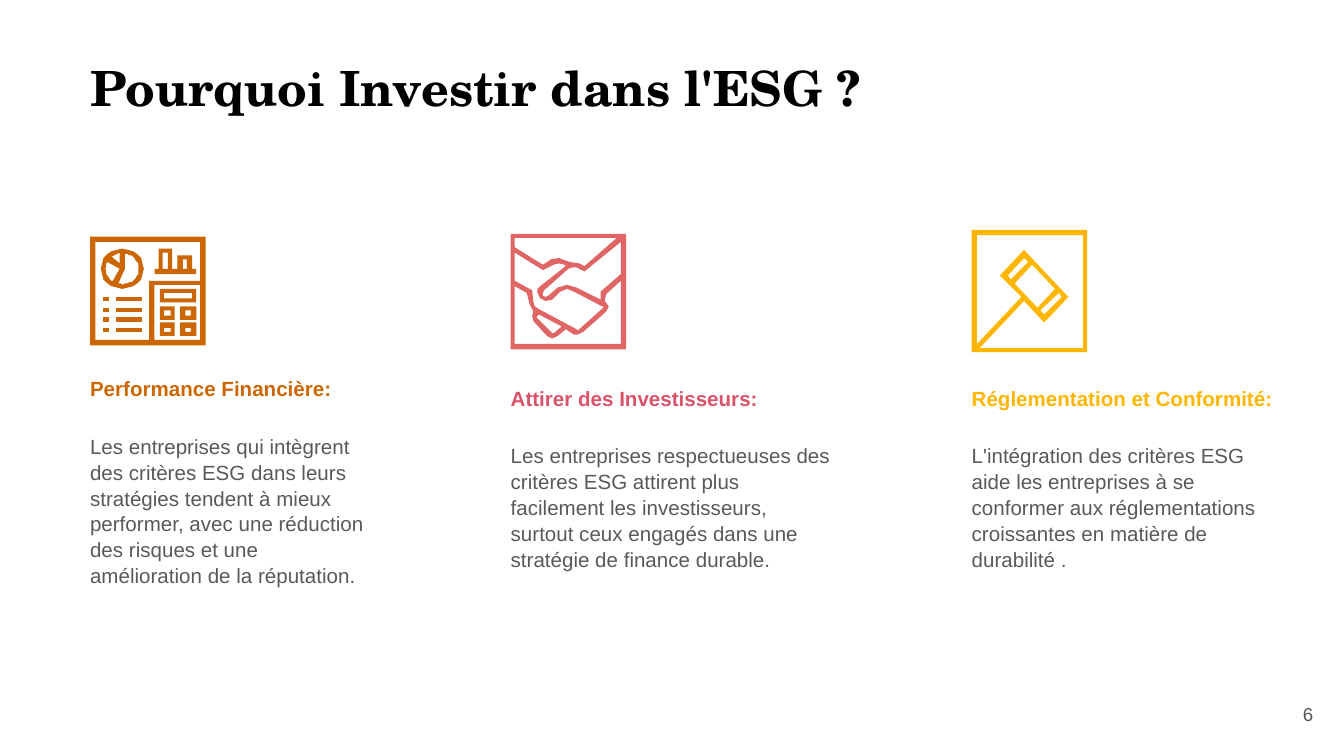
from math import cos, radians, sin

from lxml.etree import SubElement
from pptx import Presentation
from pptx.dml.color import RGBColor
from pptx.enum.text import MSO_ANCHOR, MSO_AUTO_SIZE, PP_ALIGN
from pptx.oxml.ns import qn
from pptx.util import Pt

BLACK = RGBColor(0x00, 0x00, 0x00)
GREY = RGBColor(0x59, 0x59, 0x59)
ORANGE = RGBColor(0xCC, 0x66, 0x00)
ROSE = RGBColor(0xDB, 0x53, 0x6A)
CORAL = RGBColor(0xE0, 0x66, 0x66)
YELLOW = RGBColor(0xFF, 0xB6, 0x00)

ICON_UNIT = Pt(0.72)  # icon outlines are drawn on a grid of 0.72 pt


def draw_outline(shapes, contours, color):
    """Draw one filled outline; inner contours become holes."""
    builder = shapes.build_freeform(*contours[0][0], scale=ICON_UNIT)
    builder.add_line_segments(contours[0][1:])
    for contour in contours[1:]:
        builder.move_to(*contour[0])
        builder.add_line_segments(contour[1:])
    outline = builder.convert_to_shape()
    outline.shadow.inherit = False
    outline.fill.solid()
    outline.fill.fore_color.rgb = color
    outline.line.fill.background()


def pie_arc(start, end, rx, ry):
    """Points along the pie symbol's rim, angles in degrees."""
    angles = [radians(start + (end - start) * i / 24) for i in range(25)]
    return [(round(91 + rx * cos(a), 2), round(200 + ry * sin(a), 2)) for a in angles]


prs = Presentation()
prs.slide_width, prs.slide_height = Pt(720), Pt(405)
slide = prs.slides.add_slide(prs.slide_layouts.get_by_name("Comparison"))
heading, *bodies, spare = slide.placeholders
spare.element.getparent().remove(spare.element)

# Title
heading.left, heading.top, heading.width, heading.height = Pt(48.24), Pt(26.64), Pt(667.44), Pt(51.84)
heading.text_frame.text = "Pourquoi Investir dans l'ESG ?"
title_line = heading.text_frame.paragraphs[0]
title_line.alignment = PP_ALIGN.LEFT
title_line.line_spacing = 1.15
title_line.font.name = "TeX Gyre Schola"
title_line.font.size = Pt(26)
title_line.font.bold = True
title_line.font.color.rgb = BLACK

# Three reasons: left, top, width, colour, heading, explanation
reasons = [
    (48.24, 200.88, 151.2, ORANGE, "Performance Financière:",
     "Les entreprises qui intègrent des critères ESG dans leurs stratégies tendent à mieux "
     "performer, avec une réduction des risques et une amélioration de la réputation."),
    (273.6, 205.92, 172.8, ROSE, "Attirer des Investisseurs:",
     "Les entreprises respectueuses des critères ESG attirent plus facilement les "
     "investisseurs, surtout ceux engagés dans une stratégie de finance durable."),
    (520.56, 205.92, 167.76, YELLOW, "Réglementation et Conformité:",
     "L'intégration des critères ESG aide les entreprises à se conformer aux "
     "réglementations croissantes en matière de durabilité ."),
]
for body, (left, top, width, color, reason, explanation) in zip(bodies, reasons):
    body.left, body.top, body.width, body.height = Pt(left), Pt(top), Pt(width), Pt(161.5)
    body.text_frame.text = f"{reason}\n{explanation}"
    for paragraph, ink, bold, gap in zip(
        body.text_frame.paragraphs, (color, GREY), (True, False), (0, 17)
    ):
        properties = paragraph._p.get_or_add_pPr()
        properties.set("marL", "0")
        properties.set("indent", "0")
        SubElement(properties, qn("a:buNone"))
        paragraph.alignment = PP_ALIGN.LEFT
        paragraph.line_spacing = 1.05
        paragraph.space_before = Pt(gap)
        paragraph.font.name = "Arial"
        paragraph.font.size = Pt(11)
        paragraph.font.bold = bold
        paragraph.font.color.rgb = ink

for holder in (heading, *bodies):
    frame = holder.text_frame
    frame.margin_left = frame.margin_right = frame.margin_top = frame.margin_bottom = 0
    frame.vertical_anchor = MSO_ANCHOR.TOP
    frame.auto_size = MSO_AUTO_SIZE.NONE
    frame.word_wrap = True

# Financial report icon: page, bar chart, pie, calculator and list
report = slide.shapes.add_group_shape().shapes
draw_outline(report, [
    [(67, 176), (67, 257), (153, 257), (153, 176)],
    [(115, 253), (115, 212), (149, 212), (149, 253)],
    [(111, 209), (111, 253), (71, 253), (71, 180), (149, 180), (149, 209)],
], ORANGE)
draw_outline(report, [
    [(143, 200), (143, 190), (132, 190), (132, 200), (128, 200), (128, 185), (118, 185),
     (118, 200), (115, 200), (115, 204), (146, 204), (146, 200)],
    [(125, 200), (121, 200), (121, 188), (125, 188)],
    [(139, 200), (136, 200), (136, 193), (139, 193)],
], ORANGE)
draw_outline(report, [
    pie_arc(0, 360, 16, 15),
    [(89, 188), (89, 196), (83, 191)],
    [(89, 200), *pie_arc(125, 208, 12.5, 11.5)],
    [(93, 200), *pie_arc(-80, 104, 12.5, 11.5)],
], ORANGE)
keys = [(119, 215, 27)] + [(x, y, 11) for y in (228, 240.5) for x in (119, 134.5)]
for x, y, width in keys:
    draw_outline(report, [
        [(x + d, y + d), (x + width - d, y + d), (x + width - d, y + 10 - d), (x + d, y + 10 - d)]
        for d in (0, 3.3)
    ], ORANGE)
for row in range(4):
    y = 221 + 7.67 * row
    for x, width in ((77, 4), (85.5, 20.5)):
        draw_outline(report, [[(x, y), (x + width, y), (x + width, y + 3.3), (x, y + 3.3)]], ORANGE)

# Handshake icon: frame, cuff, clasped hands, arm, upper and lower background
draw_outline(slide.shapes, [
    [(466, 174), (380, 174), (380, 260), (466, 260)],
    [(400, 235), (401, 234), (418, 243), (412, 248), (411, 248), (410, 247), (400, 237), (399.4, 236)],
    [(401, 230), (398.5, 228), (397, 225), (396, 216), (383, 209), (383, 188), (404, 201),
     (412, 197), (416, 196), (420, 197), (421, 198), (402, 213), (400.5, 215), (400, 218),
     (402, 222), (406, 224.3), (411, 223), (417, 217), (422, 215), (427, 217), (448, 228),
     (449, 228), (449, 229), (431, 245), (430, 245.6), (429, 245)],
    [(447, 217), (447, 223), (429, 214), (422, 211.5), (415, 214), (408, 220), (406, 220.8),
     (404, 220), (404, 218), (405, 216), (423, 200), (426, 198.6), (429, 199), (435, 202),
     (462, 180), (462, 204)],
    [(459, 177), (435, 198), (431, 196), (424, 195), (421, 194), (416, 192.3), (410, 193),
     (404, 197), (383, 184), (383, 177)],
    [(383, 256), (383, 213), (392, 218), (394, 226), (397, 232), (395.7, 235), (397, 239),
     (407, 250), (411, 252), (415, 250), (421, 245), (427, 249), (430, 249), (434, 247),
     (451, 232), (453, 228), (450, 224), (451, 219), (462, 209), (462, 256)],
], CORAL)

# Gavel icon: frame with handle, two heads, block
draw_outline(slide.shapes, [
    [(723, 171), (723, 262), (809, 262), (809, 171)],
    [(806, 259), (729, 259), (762, 224), (777, 240), (795, 221), (762, 186), (744, 205),
     (760, 221), (727, 256), (727, 175), (806, 175)],
    [(750, 205), (762, 192), (765, 195), (752, 208)],
    [(768, 197), (785, 215), (772, 229), (755, 211)],
    [(790, 221), (777, 234), (774, 231), (788, 218)],
], YELLOW)

# Page number
page_number = slide.shapes.add_textbox(Pt(667.44), Pt(367.2), Pt(43.2), Pt(30.96)).text_frame
page_number.margin_left = page_number.margin_right = Pt(7.2)
page_number.margin_top = page_number.margin_bottom = Pt(7.2)
page_number.vertical_anchor = MSO_ANCHOR.MIDDLE
page_number.word_wrap = True
page_number.text = "6"
number_line = page_number.paragraphs[0]
number_line.alignment = PP_ALIGN.RIGHT
number_line.font.name = "Arial"
number_line.font.size = Pt(10)
number_line.font.color.rgb = GREY

prs.save("out.pptx")
